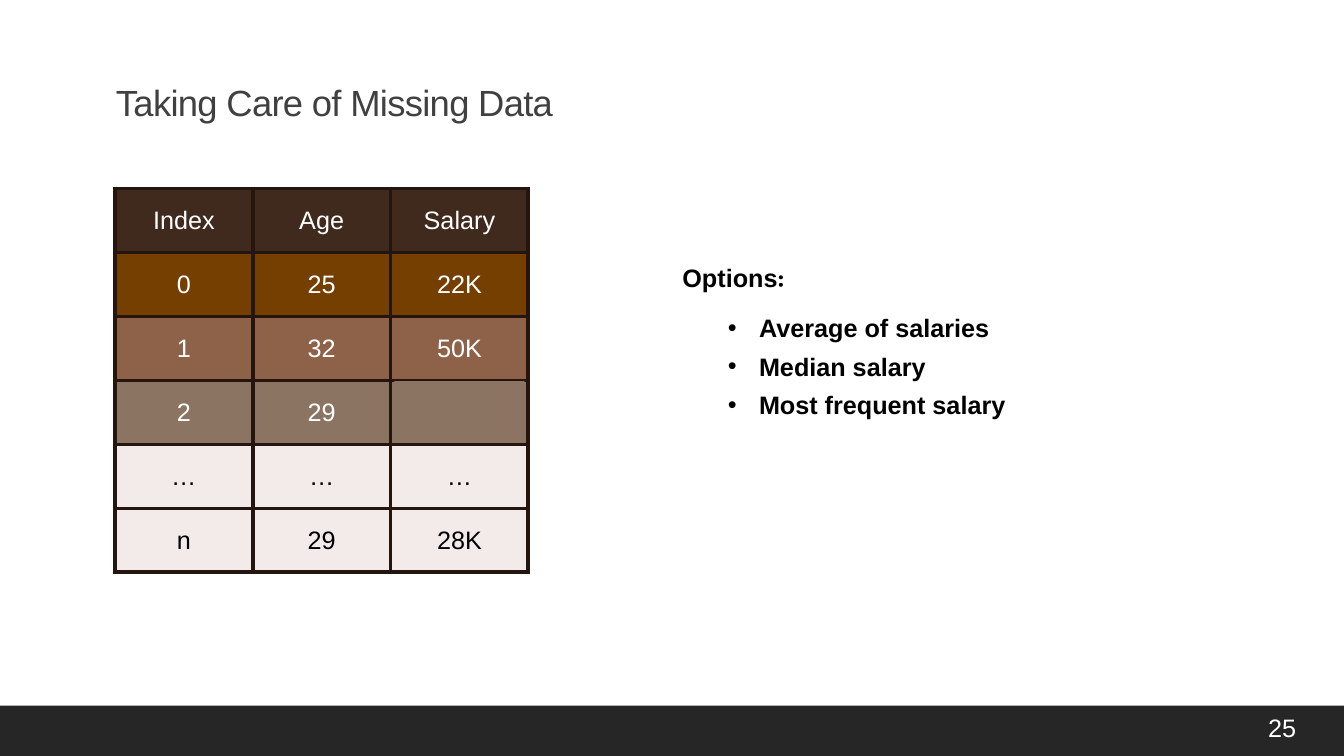
from dataclasses import dataclass

from lxml import etree
from pptx import Presentation
from pptx.dml.color import RGBColor
from pptx.enum.shapes import MSO_SHAPE
from pptx.enum.text import MSO_ANCHOR, MSO_AUTO_SIZE, PP_ALIGN
from pptx.oxml.ns import qn
from pptx.util import Inches, Pt

RECTANGLE = MSO_SHAPE.RECTANGLE
TOP, MIDDLE = MSO_ANCHOR.TOP, MSO_ANCHOR.MIDDLE
LEFT, CENTER = PP_ALIGN.LEFT, PP_ALIGN.CENTER
NO_AUTOFIT = MSO_AUTO_SIZE.NONE
TITLE_ONLY = 5


@dataclass(frozen=True)
class Theme:
    """Colours, fonts and sizes used on the slide."""
    font: str = "Arial"
    accent_font: str = "Karla"
    title_size: int = 26
    body_size: int = 18
    title: str = "404040"
    dark: str = "000000"
    light: str = "FFFFFF"
    footer: str = "262626"
    border: str = "24150E"
    border_width: int = 3
    missing: str = "8C7462"


THEME = Theme()

SALARY_ROWS = [
    (("Index", "Age", "Salary"), "3F2A1D", THEME.light),
    (("0", "25", "22K"), "763F02", THEME.light),
    (("1", "32", "50K"), "8E6248", THEME.light),
    (("2", "29", ""), THEME.missing, THEME.light),
    (("…", "…", "…"), "F2EBE9", THEME.dark),
    (("n", "29", "28K"), "F2EBE9", THEME.dark),
]
OPTIONS = ["Average of salaries", "Median salary", "Most frequent salary"]


def rgb(code):
    """Return the colour for a hex code."""
    return RGBColor.from_string(code)


def style(paragraph, color, size=THEME.body_size, bold=False):
    """Set the font of a whole paragraph."""
    font = paragraph.font
    font.name, font.size, font.bold = THEME.font, Pt(size), bold
    font.color.rgb = rgb(color)


def add_block(slide, box, color, line_width=None):
    """Add a plain filled rectangle, outlined in its own colour if asked."""
    block = slide.shapes.add_shape(RECTANGLE, *map(Inches, box))
    block.shadow.inherit = False
    block.fill.solid()
    block.fill.fore_color.rgb = rgb(color)
    if line_width is None:
        block.line.fill.background()
    else:
        block.line.color.rgb = rgb(color)
        block.line.width = Pt(line_width)


def add_frame(slide, box, anchor=TOP):
    """Add a wrapping text box and return its text frame."""
    frame = slide.shapes.add_textbox(*map(Inches, box)).text_frame
    frame.word_wrap = True
    frame.vertical_anchor = anchor
    return frame


def add_title(slide, box, text):
    """Place and format the title placeholder."""
    title = slide.shapes.title
    title.left, title.top, title.width, title.height = map(Inches, box)
    frame = title.text_frame
    frame.auto_size = NO_AUTOFIT
    frame.word_wrap = True
    frame.vertical_anchor = TOP
    heading = frame.paragraphs[0]
    heading.alignment = LEFT
    heading.line_spacing = 1.5
    style(heading, THEME.title, THEME.title_size)
    run = heading.add_run()
    run.text = text
    run.font._element.set("spc", "-50")


def add_borders(cell):
    """Draw all four borders of a table cell."""
    properties = cell._tc.get_or_add_tcPr()
    for side in ("a:lnL", "a:lnR", "a:lnT", "a:lnB"):
        line = etree.SubElement(properties, qn(side), w=str(Pt(THEME.border_width)))
        fill = etree.SubElement(line, qn("a:solidFill"))
        etree.SubElement(fill, qn("a:srgbClr"), val=THEME.border)


def add_salary_table(slide, box):
    """Add the table and cover the cell whose salary is missing."""
    left, top, width, height = box
    row_count, column_count = len(SALARY_ROWS), len(SALARY_ROWS[0][0])
    table = slide.shapes.add_table(row_count, column_count, *map(Inches, box)).table
    table.first_row = table.horz_banding = False
    for row, (values, fill, ink) in enumerate(SALARY_ROWS):
        for column, value in enumerate(values):
            cell = table.cell(row, column)
            add_borders(cell)
            cell.fill.solid()
            cell.fill.fore_color.rgb = rgb(fill)
            cell.vertical_anchor = MIDDLE
            cell.text = value
            paragraph = cell.text_frame.paragraphs[0]
            paragraph.alignment = CENTER
            style(paragraph, ink)
    add_block(slide, (left + 2.78, top + 1.92, 1.28, 0.58), THEME.missing, 1.25)


def add_bullet(paragraph):
    """Give a paragraph a hanging round bullet."""
    properties = paragraph._p.get_or_add_pPr()
    indent = Inches(0.31)
    properties.set("marL", str(indent))
    properties.set("indent", str(-indent))
    etree.SubElement(properties, qn("a:buFont"), typeface=THEME.font)
    etree.SubElement(properties, qn("a:buChar"), char="•")


def add_options(slide, box):
    """Add the heading and the bulleted ways of filling the gap."""
    left, top, width, height = box
    heading = add_frame(slide, (left, top, width, 0.4)).paragraphs[0]
    style(heading, THEME.dark, bold=True)
    heading.add_run().text = "Options"
    colon = heading.add_run()
    colon.text = ":"
    colon.font.name = THEME.accent_font

    frame = add_frame(slide, (left + 0.45, top + 0.5, width, height - 0.5))
    for number, option in enumerate(OPTIONS):
        item = frame.add_paragraph() if number else frame.paragraphs[0]
        item.text = option
        add_bullet(item)
        if number:
            item.space_before = Pt(6)
        style(item, THEME.dark, bold=True)


def add_footer(slide, box, number):
    """Add the bottom bar with the slide number at its right end."""
    left, top, width, height = box
    add_block(slide, box, THEME.footer)
    label = add_frame(slide, (left + width - 0.85, top + 0.02, 0.85, 0.4), MIDDLE).paragraphs[0]
    label.text = number
    style(label, THEME.light)


def main():
    """Build and save the slide."""
    deck = Presentation()
    deck.slide_width, deck.slide_height = Inches(13.33), Inches(7.5)
    slide = deck.slides.add_slide(deck.slide_layouts[TITLE_ONLY])
    add_footer(slide, (0, 7, 13.33, 0.5), "25")
    add_title(slide, (1.05, 0.53, 6.67, 1.11), "Taking Care of Missing Data")
    add_options(slide, (6.67, 2.55, 4.48, 1.64))
    add_salary_table(slide, (1.14, 1.87, 4.1, 3.81))
    deck.save("out.pptx")


if __name__ == "__main__":
    main()
